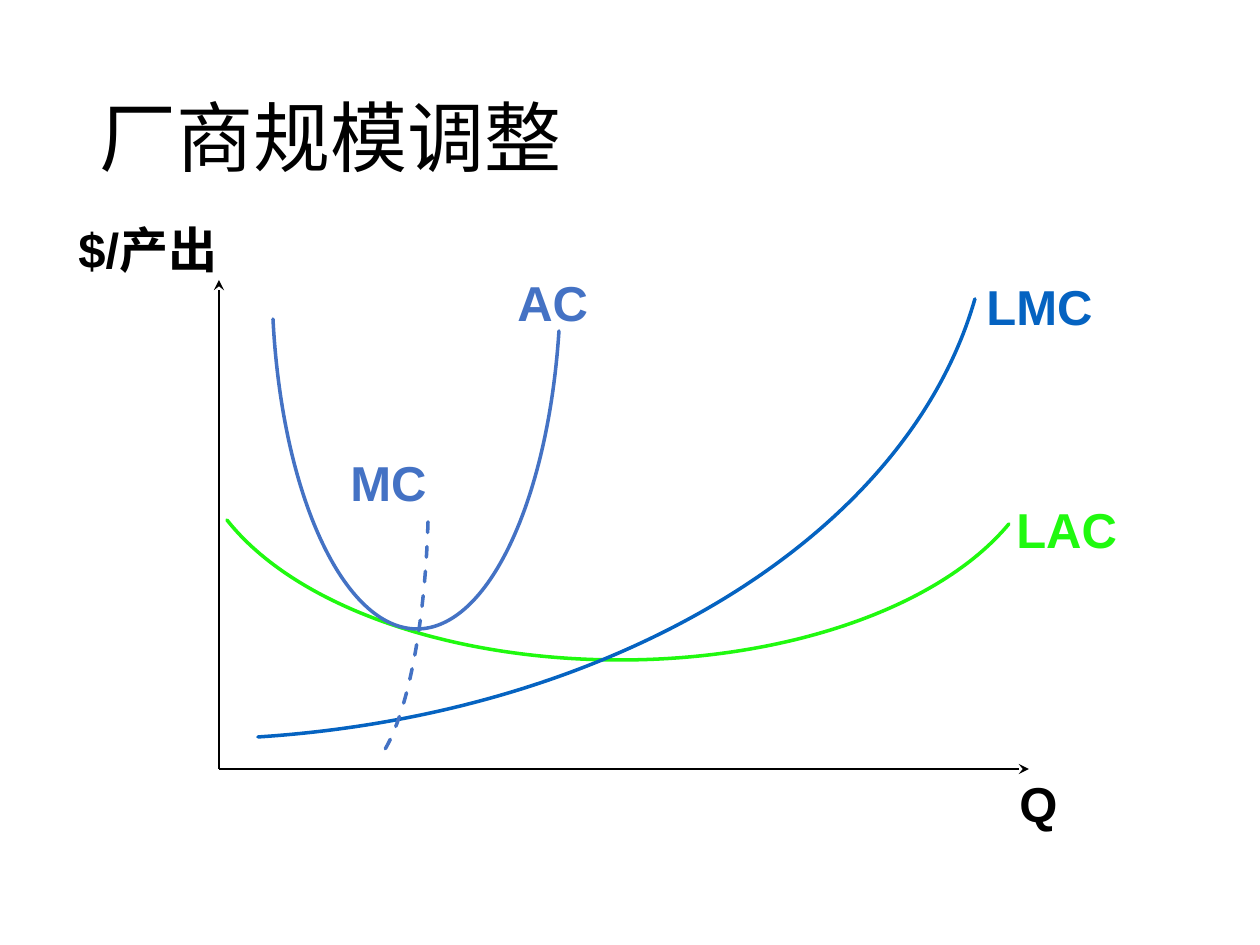
from dataclasses import dataclass

import lxml.etree
import pptx
import pptx.dml.color
import pptx.enum.dml
import pptx.enum.shapes
import pptx.enum.text
import pptx.oxml.ns
import pptx.util

PX = 914400 / 126
COLORS = {"ink": "000000", "green": "20F90F", "blue": "0563C1", "short_run": "4472C4"}
Point = tuple[int, int]
qn = pptx.oxml.ns.qn


@dataclass
class Label:
    text: str
    left: int
    top: int
    width: int
    color: str
    height: int = 72
    size: int = 28
    font: str = "Arial"
    bold: bool = True
    wrap: bool = False
    anchor: pptx.enum.text.MSO_ANCHOR = pptx.enum.text.MSO_ANCHOR.TOP
    line_spacing: float = 1.0


@dataclass
class Curve:
    """A start point, then three points for each Bézier segment."""
    points: list[Point]
    color: str
    dashed: bool = False


TITLE = Label("厂商规模调整", 87, 50, 1086, "ink", height=183, size=44,
              font="Calibri", bold=False, wrap=True,
              anchor=pptx.enum.text.MSO_ANCHOR.MIDDLE, line_spacing=0.9)

ORIGIN = (219, 769)
AXIS_TIPS = [(219, 280), (1029, 769)]

CURVES = [
    # LAC
    Curve([(1009, 524), (940, 607), (788, 660), (620, 660),
           (449, 660), (295, 606), (227, 520)], "green"),
    # LMC
    Curve([(975, 299), (907, 536), (615, 714), (258, 737)], "blue"),
    # AC
    Curve([(559, 331), (548, 501), (488, 629), (417, 629),
           (344, 629), (282, 495), (273, 319)], "short_run"),
    # MC
    Curve([(428, 522), (425, 624), (408, 712), (384, 751)], "short_run", dashed=True),
]

LABELS = [
    Label("LMC", 974, 270, 134, "blue"),
    Label("LAC", 1004, 493, 127, "green"),
    Label("Q", 1007, 767, 64, "ink"),
    Label("$/产出", 66, 213, 166, "ink", wrap=True),
    Label("AC", 505, 266, 97, "short_run"),
    Label("MC", 338, 446, 103, "short_run"),
]


def px(length: int) -> pptx.util.Emu:
    return pptx.util.Emu(round(length * PX))


def rgb(name: str) -> pptx.dml.color.RGBColor:
    return pptx.dml.color.RGBColor.from_string(COLORS[name])


def draw_label(page, label: Label) -> None:
    box = page.shapes.add_textbox(
        px(label.left), px(label.top), px(label.width), px(label.height))
    frame = box.text_frame
    frame.word_wrap = label.wrap
    frame.vertical_anchor = label.anchor
    frame.text = label.text
    para = frame.paragraphs[0]
    para.line_spacing = label.line_spacing
    for span in para.runs:
        span.font.name = label.font
        span.font.size = pptx.util.Pt(label.size)
        span.font.bold = label.bold
        span.font.color.rgb = rgb(label.color)


def draw_axis(page, start: Point, tip: Point) -> None:
    axis = page.shapes.add_connector(
        pptx.enum.shapes.MSO_CONNECTOR.STRAIGHT, *map(px, start + tip))
    axis.line.color.rgb = rgb("ink")
    axis.line.width = pptx.util.Pt(1)
    properties = axis.element.find(qn("p:spPr"))
    lxml.etree.SubElement(properties.find(qn("a:ln")), qn("a:tailEnd"), type="stealth")
    lxml.etree.SubElement(properties, qn("a:effectLst"))


def draw_curve(page, curve: Curve) -> None:
    builder = page.shapes.build_freeform(*curve.points[0], scale=PX)
    builder.add_line_segments(curve.points[1:], close=False)
    shape = builder.convert_to_shape()
    shape.shadow.inherit = False
    shape.fill.background()
    shape.line.color.rgb = rgb(curve.color)
    shape.line.width = pptx.util.Pt(2)
    if curve.dashed:
        shape.line.dash_style = pptx.enum.dml.MSO_LINE.DASH
    shape.element.find(qn("p:spPr")).find(qn("a:ln")).set("cap", "rnd")

    # Turn each run of three line points into one cubic segment
    steps = list(shape.element.iter(qn("a:lnTo")))
    outline = steps[0].getparent()
    for first in range(0, len(steps), 3):
        cubic = lxml.etree.SubElement(outline, qn("a:cubicBezTo"))
        for step in steps[first:first + 3]:
            cubic.append(step[0])
            outline.remove(step)


def main() -> None:
    deck = pptx.Presentation()
    deck.slide_width, deck.slide_height = px(1260), px(945)
    page = deck.slides.add_slide(deck.slide_layouts[6])

    # Title
    draw_label(page, TITLE)

    # Axes
    for tip in AXIS_TIPS:
        draw_axis(page, ORIGIN, tip)

    # Cost curves and their names
    for curve in CURVES:
        draw_curve(page, curve)
    for label in LABELS:
        draw_label(page, label)

    deck.save("out.pptx")


if __name__ == "__main__":
    main()
